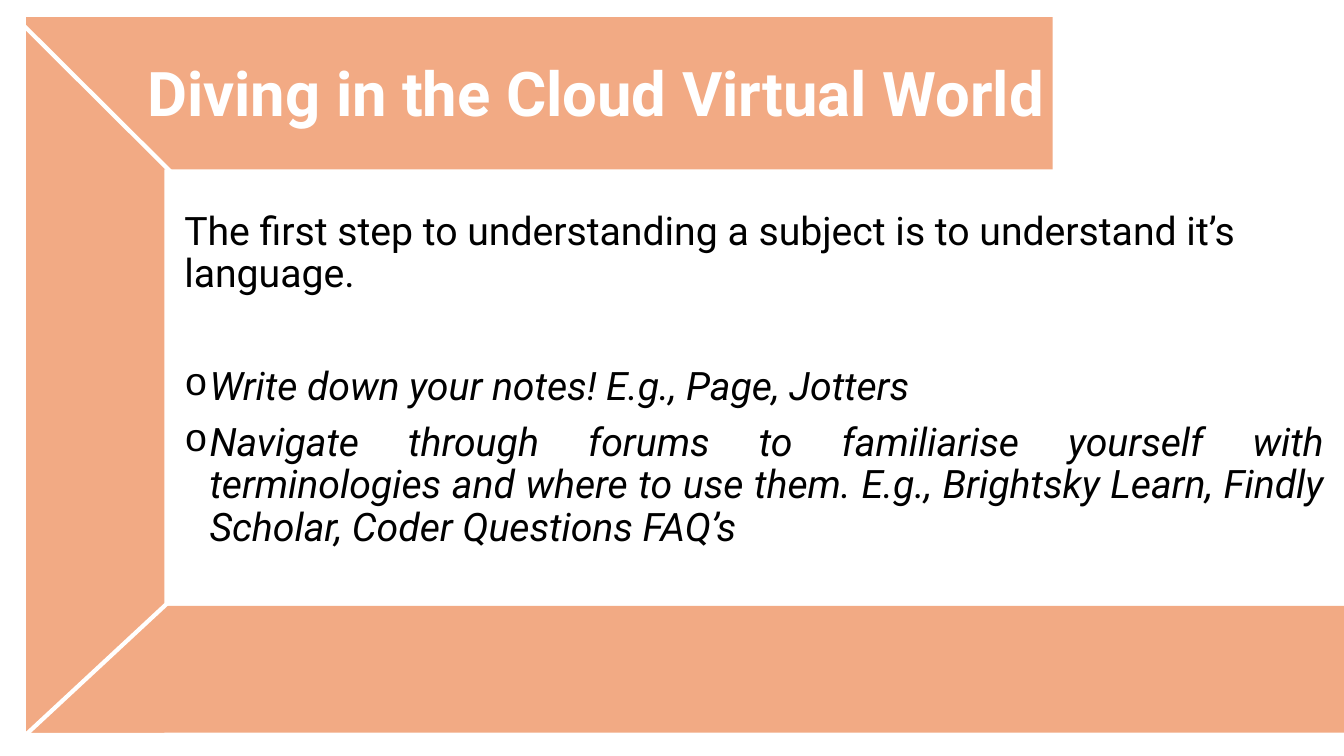
from lxml.etree import SubElement
from pptx import Presentation
from pptx.dml.color import RGBColor
from pptx.enum.shapes import MSO_CONNECTOR, MSO_SHAPE
from pptx.enum.text import MSO_ANCHOR, MSO_AUTO_SIZE, PP_ALIGN
from pptx.oxml.ns import qn
from pptx.util import Inches, Pt

FONT = "Roboto"
ORANGE = "F2AA84"
WHITE = "FFFFFF"
BLACK = "000000"


def color(value):
    return RGBColor.from_string(value)


def place(shape, left, top, width, height):
    shape.left, shape.top = Inches(left), Inches(top)
    shape.width, shape.height = Inches(width), Inches(height)


def write(paragraph, text, size=28, fill=BLACK, bold=False, italic=False,
          align=PP_ALIGN.LEFT, before=10):
    paragraph.alignment = align
    paragraph.line_spacing = 0.9
    paragraph.space_before = Pt(before)
    run = paragraph.add_run()
    run.text = text
    font = run.font
    font.name, font.size = FONT, Pt(size)
    font.bold, font.italic = bold, italic
    font.color.rgb = color(fill)


def add_bullet(paragraph):
    properties = paragraph._p.get_or_add_pPr()
    properties.set("marL", str(Inches(0.25)))
    properties.set("indent", str(-Inches(0.25)))
    SubElement(properties, qn("a:buFont")).set("typeface", "Courier New")
    SubElement(properties, qn("a:buChar")).set("char", "o")


def add_band(slide, left, top, width, height):
    band = slide.shapes.add_shape(
        MSO_SHAPE.RECTANGLE, Inches(left), Inches(top), Inches(width), Inches(height))
    band.shadow.inherit = False
    band.fill.solid()
    band.fill.fore_color.rgb = color(ORANGE)
    band.line.fill.background()


def add_miter(slide, start_x, start_y, end_x, end_y):
    miter = slide.shapes.add_connector(
        MSO_CONNECTOR.STRAIGHT, Inches(start_x), Inches(start_y), Inches(end_x), Inches(end_y))
    miter.line.color.rgb = color(WHITE)
    miter.line.width = Pt(3)
    SubElement(miter._element.spPr, qn("a:effectLst"))


def format_title(slide):
    title = slide.shapes.title
    place(title, 1.36, 0.23, 9.23, 1.45)
    frame = title.text_frame
    frame.word_wrap = True
    frame.auto_size = MSO_AUTO_SIZE.NONE
    frame.vertical_anchor = MSO_ANCHOR.MIDDLE
    write(frame.paragraphs[0], "Diving in the Cloud Virtual World",
          size=44, fill=WHITE, bold=True, before=0)
    slide.shapes._spTree.append(title._element)


def add_body(slide):
    box = slide.shapes.add_textbox(Inches(1.73), Inches(2.05), Inches(11.5), Inches(3.61))
    frame = box.text_frame
    frame.word_wrap = True
    write(frame.paragraphs[0],
          "The first step to understanding a subject is to understand it’s language.")
    tips = [
        ("Write down your notes! E.g., Page, Jotters", 50),
        ("Navigate through forums to familiarise yourself with terminologies and where "
         "to use them. E.g., Brightsky Learn, Findly Scholar, Coder Questions FAQ’s", 10),
    ]
    for text, before in tips:
        paragraph = frame.add_paragraph()
        write(paragraph, text, italic=True, align=PP_ALIGN.JUSTIFY, before=before)
        add_bullet(paragraph)


def main():
    presentation = Presentation()
    presentation.slide_width, presentation.slide_height = Inches(13.33), Inches(7.5)
    slide = presentation.slides.add_slide(presentation.slide_layouts[5])
    add_band(slide, 0.26, 0.17, 10.18, 1.51)
    add_band(slide, 0.26, 0.23, 1.37, 7.04)
    add_band(slide, 0.26, 6.01, 13.07, 1.26)
    format_title(slide)
    add_body(slide)
    add_miter(slide, -0.26, -0.24, 1.98, 1.99)
    add_miter(slide, -0.52, 8.01, 1.73, 5.92)
    presentation.save("out.pptx")


if __name__ == "__main__":
    main()
